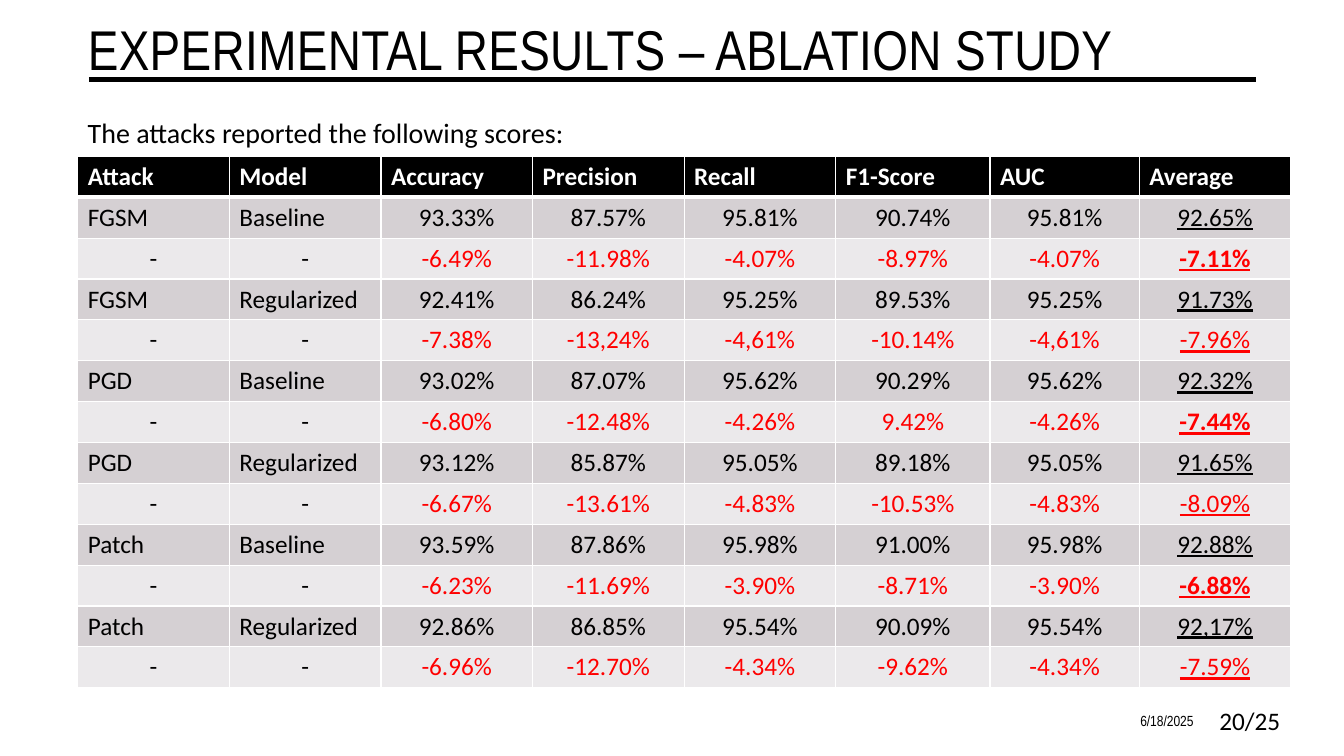
from lxml import etree
from pptx import Presentation
from pptx.dml.color import RGBColor
from pptx.enum import shapes, text
from pptx.oxml import ns
from pptx.util import Cm, Pt

TITLE = "EXPERIMENTAL RESULTS – ABLATION STUDY"
INTRO = "The attacks reported the following scores:"
DATE = "6/18/2025"
PAGE = "20/25"
HEADS = ("Attack", "Model", "Accuracy", "Precision", "Recall", "F1-Score", "AUC", "Average")
SCORES = [
    ("FGSM", "Baseline", "93.33%", "87.57%", "95.81%", "90.74%", "95.81%", "92.65%"),
    ("-", "-", "-6.49%", "-11.98%", "-4.07%", "-8.97%", "-4.07%", "-7.11%"),
    ("FGSM", "Regularized", "92.41%", "86.24%", "95.25%", "89.53%", "95.25%", "91.73%"),
    ("-", "-", "-7.38%", "-13,24%", "-4,61%", "-10.14%", "-4,61%", "-7.96%"),
    ("PGD", "Baseline", "93.02%", "87.07%", "95.62%", "90.29%", "95.62%", "92.32%"),
    ("-", "-", "-6.80%", "-12.48%", "-4.26%", "9.42%", "-4.26%", "-7.44%"),
    ("PGD", "Regularized", "93.12%", "85.87%", "95.05%", "89.18%", "95.05%", "91.65%"),
    ("-", "-", "-6.67%", "-13.61%", "-4.83%", "-10.53%", "-4.83%", "-8.09%"),
    ("Patch", "Baseline", "93.59%", "87.86%", "95.98%", "91.00%", "95.98%", "92.88%"),
    ("-", "-", "-6.23%", "-11.69%", "-3.90%", "-8.71%", "-3.90%", "-6.88%"),
    ("Patch", "Regularized", "92.86%", "86.85%", "95.54%", "90.09%", "95.54%", "92,17%"),
    ("-", "-", "-6.96%", "-12.70%", "-4.34%", "-9.62%", "-4.34%", "-7.59%"),
]
WIDTHS = (3.82, 3.82, 3.82, 3.82, 3.82, 3.89, 3.76, 3.82)
ROW = 1.03
LEFT = 1.96

BLACK = RGBColor(0, 0, 0)
WHITE = RGBColor(255, 255, 255)
RED = RGBColor(255, 0, 0)
DARK = RGBColor(0xD5, 0xD0, 0xD3)
PALE = RGBColor(0xEB, 0xE9, 0xEB)
ALIGN = text.PP_ALIGN
ANCHOR = text.MSO_ANCHOR


def write(frame, words, face, size, color=BLACK, align=ALIGN.LEFT):
    frame.text = words
    para = frame.paragraphs[0]
    para.alignment = align
    font = para.runs[0].font
    font.name, font.size = face, Pt(size)
    font.color.rgb = color
    return font


def label(slide, words, box, face, size, align, anchor):
    frame = slide.shapes.add_textbox(*map(Cm, box)).text_frame
    frame.word_wrap = True
    frame.vertical_anchor = anchor
    write(frame, words, face, size, align=align)
    return frame


def edge(cell, top, bottom):
    props = cell._tc.get_or_add_tcPr()
    sides = (("lnL", 1), ("lnR", 1), ("lnT", top), ("lnB", bottom))
    for spot, (side, width) in enumerate(sides):
        line = etree.Element(ns.qn("a:" + side), w=str(Pt(width)))
        fill = etree.SubElement(line, ns.qn("a:solidFill"))
        etree.SubElement(fill, ns.qn("a:srgbClr"), val=str(WHITE))
        props.insert(spot, line)


def fill_cell(cell, words, row, col):
    head = row == 0
    loss = row > 0 and row % 2 == 0
    color = WHITE if head else RED if loss and col > 1 else BLACK
    mid = not head and (loss or col > 1)
    font = write(cell.text_frame, words, "Calibri", 18, color,
                 ALIGN.CENTER if mid else ALIGN.LEFT)
    last = not head and col == len(HEADS) - 1
    font.underline = last
    font.bold = head or (last and row % 4 == 2)
    cell.fill.solid()
    cell.fill.fore_color.rgb = BLACK if head else PALE if loss else DARK
    edge(cell, 3 if row == 1 else 1, 3 if head else 1)


def main():
    deck = Presentation()
    deck.slide_width, deck.slide_height = Cm(33.87), Cm(19.05)
    slide = deck.slides.add_slide(deck.slide_layouts[5])

    title = slide.shapes.title
    title.left, title.top, title.width, title.height = map(Cm, (LEFT, 0.18, 29.69, 2.03))
    frame = title.text_frame
    font = write(frame, TITLE, "Arial Narrow", 40)
    font._element.set("spc", "30")
    frame.auto_size = text.MSO_AUTO_SIZE.NONE
    frame.vertical_anchor = ANCHOR.BOTTOM
    frame.paragraphs[0].line_spacing = 0.9

    rule = slide.shapes.add_connector(
        shapes.MSO_CONNECTOR.STRAIGHT, Cm(2.24), Cm(2.01), Cm(31.65), Cm(2.01))
    rule.line.color.rgb = BLACK
    rule.line.width = Pt(3.5)
    etree.SubElement(rule._element.spPr, ns.qn("a:effectLst"))

    intro = label(slide, INTRO, (LEFT, 2.69, 29.69, 1.2), "Calibri", 20,
                  ALIGN.LEFT, ANCHOR.TOP)
    intro.paragraphs[0].line_spacing = 1.1
    label(slide, DATE, (23.24, 17.65, 7.09, 1.02), "Arial Narrow", 10.5,
          ALIGN.RIGHT, ANCHOR.MIDDLE)
    label(slide, PAGE, (30.33, 17.65, 2.18, 1.02), "Calibri", 18,
          ALIGN.RIGHT, ANCHOR.MIDDLE)

    rows = [HEADS] + SCORES
    table = slide.shapes.add_table(
        len(rows), len(HEADS), Cm(LEFT), Cm(3.94),
        Cm(sum(WIDTHS)), Cm(ROW * len(rows))).table
    for col, width in zip(table.columns, WIDTHS):
        col.width = Cm(width)
    for r, row in enumerate(rows):
        table.rows[r].height = Cm(ROW)
        for c, words in enumerate(row):
            fill_cell(table.cell(r, c), words, r, c)

    deck.save("out.pptx")


if __name__ == "__main__":
    main()
